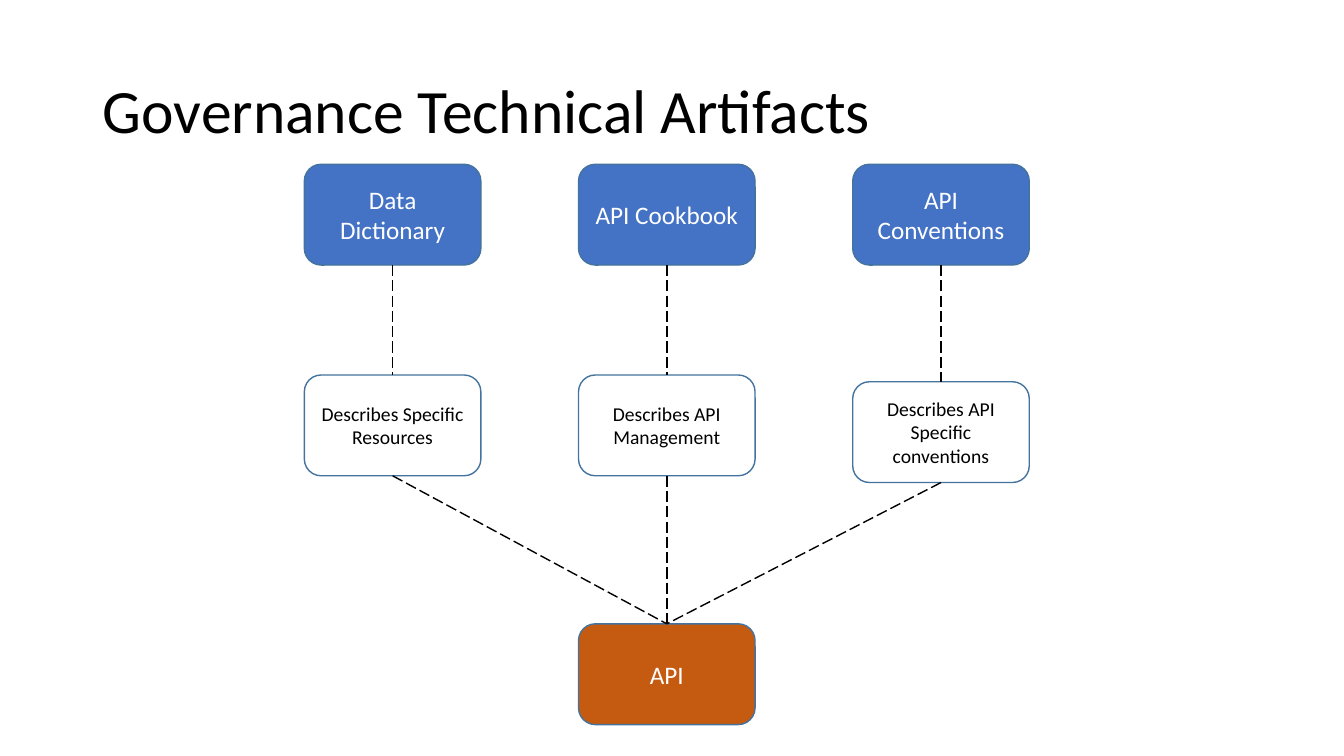
from dataclasses import dataclass

from lxml.etree import SubElement
from pptx import Presentation
from pptx.dml.color import RGBColor
from pptx.enum.dml import MSO_LINE
from pptx.enum.shapes import MSO_CONNECTOR, MSO_SHAPE
from pptx.enum.text import MSO_ANCHOR, PP_ALIGN
from pptx.oxml.ns import qn
from pptx.util import Cm, Pt


@dataclass
class Theme:
    font: str = "Calibri"
    black: RGBColor = RGBColor.from_string("000000")
    white: RGBColor = RGBColor.from_string("FFFFFF")
    blue: RGBColor = RGBColor.from_string("4472C4")
    orange: RGBColor = RGBColor.from_string("C55A11")
    border: RGBColor = RGBColor.from_string("43739E")
    title_size: int = 44
    heading_size: int = 18
    detail_size: int = 14
    line_width: int = 1


theme = Theme()


def write_text(shape, text, *, size, color, align=PP_ALIGN.CENTER, spacing=1.0):
    frame = shape.text_frame
    frame.word_wrap = True
    frame.vertical_anchor = MSO_ANCHOR.MIDDLE
    paragraph = frame.paragraphs[0]
    paragraph.alignment = align
    paragraph.line_spacing = spacing
    run = paragraph.add_run()
    run.text = text
    run.font.name = theme.font
    run.font.size = Pt(size)
    run.font.color.rgb = color


def add_box(left, top, text, fill, size, color):
    box = slide.shapes.add_shape(
        MSO_SHAPE.ROUNDED_RECTANGLE, Cm(left), Cm(top), Cm(4.45), Cm(2.54)
    )
    box.shadow.inherit = False
    box.fill.solid()
    box.fill.fore_color.rgb = fill
    box.line.color.rgb = theme.border
    box.line.width = Pt(theme.line_width)
    write_text(box, text, size=size, color=color)
    return box


presentation = Presentation()
presentation.slide_width = Cm(33.87)
presentation.slide_height = Cm(19.05)
slide = presentation.slides.add_slide(presentation.slide_layouts[6])

title = slide.shapes.add_textbox(Cm(2.34), Cm(1.02), Cm(29.21), Cm(3.68))
write_text(
    title,
    "Governance Technical Artifacts",
    size=theme.title_size,
    color=theme.black,
    align=PP_ALIGN.LEFT,
    spacing=0.9,
)

first_left, column_pitch = 7.67, 6.91
artifacts = [
    ("Data Dictionary", "Describes Specific Resources", 9.45),
    ("API Cookbook", "Describes API Management", 9.45),
    ("API Conventions", "Describes API Specific conventions", 9.62),
]

api_box = add_box(
    first_left + column_pitch, 15.72, "API", theme.orange, theme.heading_size, theme.white
)
links = []
for column, (artifact, description, description_top) in enumerate(artifacts):
    left = first_left + column * column_pitch
    artifact_box = add_box(
        left, 4.14, artifact, theme.blue, theme.heading_size, theme.white
    )
    description_box = add_box(
        left, description_top, description, theme.white, theme.detail_size, theme.black
    )
    links += [(artifact_box, description_box), (description_box, api_box)]

bottom_site, top_site = 2, 0
for upper_box, lower_box in links:
    connector = slide.shapes.add_connector(MSO_CONNECTOR.STRAIGHT, 0, 0, 0, 0)
    connector.begin_connect(upper_box, bottom_site)
    connector.end_connect(lower_box, top_site)
    connector.line.color.rgb = theme.black
    connector.line.width = Pt(theme.line_width)
    connector.line.dash_style = MSO_LINE.LONG_DASH
    SubElement(connector._element.spPr, qn("a:effectLst"))

presentation.save("out.pptx")
